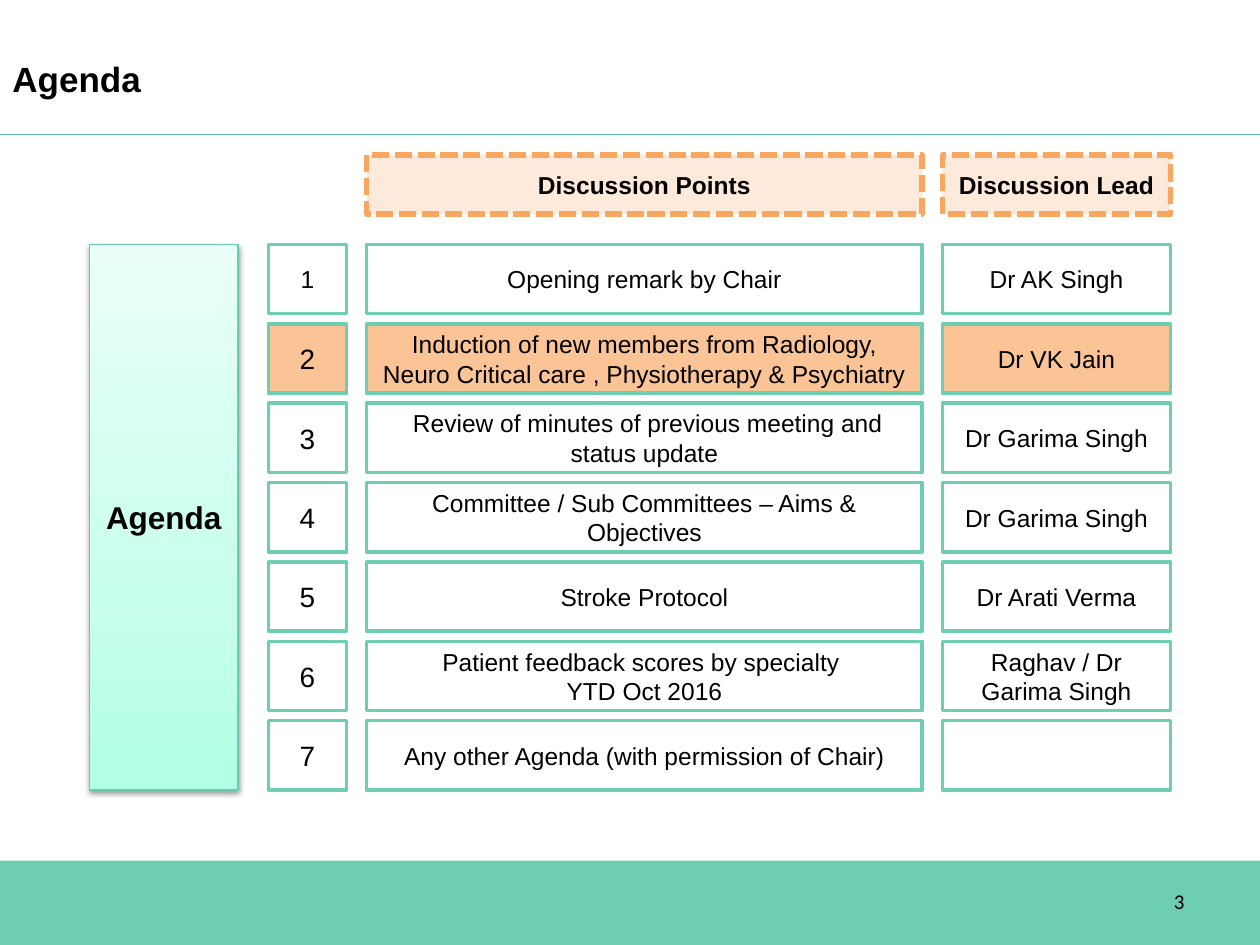
from lxml import etree
from pptx import Presentation
from pptx.dml.color import RGBColor
from pptx.enum.dml import MSO_LINE
from pptx.enum.shapes import MSO_CONNECTOR, MSO_SHAPE
from pptx.enum.text import MSO_ANCHOR, PP_ALIGN
from pptx.oxml import parse_xml
from pptx.oxml.ns import nsdecls, qn
from pptx.util import Inches, Pt

RECT, STRAIGHT = MSO_SHAPE.RECTANGLE, MSO_CONNECTOR.STRAIGHT
LEFT, CENTER, RIGHT = PP_ALIGN.LEFT, PP_ALIGN.CENTER, PP_ALIGN.RIGHT
MIDDLE = MSO_ANCHOR.MIDDLE
SHORT_DASH = MSO_LINE.SQUARE_DOT

BLACK = RGBColor(0x00, 0x00, 0x00)
WHITE = RGBColor(0xFF, 0xFF, 0xFF)
GREEN = RGBColor(0x6E, 0xCE, 0xB2)
PANEL_EDGE = RGBColor(0x69, 0xCC, 0xAF)
RULE_TEAL = RGBColor(0x5D, 0xBA, 0xB0)
ORANGE = RGBColor(0xF9, 0xA6, 0x61)
PALE_ORANGE = RGBColor(0xFD, 0xEA, 0xDA)
HIGHLIGHT = RGBColor(0xFB, 0xC4, 0x96)
PANEL_STOPS = [(0, "B1FFE4"), (35, "C8FFEB"), (100, "EAFFF7")]

CELL_INSETS = (0.08, 0.04, 0.08, 0.04)
NO_INSETS = (0, 0, 0, 0)

# Column positions as (left, width)
NUMBER_COLUMN = (2.13, 0.62)
POINT_COLUMN = (2.91, 4.41)
LEAD_COLUMN = (7.48, 1.81)
HEADER_TOP, HEADER_HEIGHT = 1.23, 0.47
FIRST_ROW_TOP, ROW_HEIGHT, ROW_PITCH = 1.94, 0.55, 0.63

HIGHLIGHTED_ITEM = 2
AGENDA = [
    ("Opening remark by Chair", "Dr AK Singh"),
    ("Induction of new members from Radiology, Neuro Critical care , "
     "Physiotherapy & Psychiatry", "Dr VK Jain"),
    (" Review of minutes of previous meeting and status update", "Dr Garima Singh"),
    ("Committee / Sub Committees – Aims & Objectives", "Dr Garima Singh"),
    ("Stroke Protocol", "Dr Arati Verma"),
    ("Patient feedback scores by specialty \nYTD Oct 2016", "Raghav / Dr Garima Singh"),
    ("Any other Agenda (with permission of Chair)", ""),
]


def write_text(frame, text, size=14, bold=False, font="Arial", align=CENTER, insets=None):
    """Fill a text frame, one paragraph per line of text."""
    frame.word_wrap = True
    frame.vertical_anchor = MIDDLE
    if insets:
        (frame.margin_left, frame.margin_top,
         frame.margin_right, frame.margin_bottom) = map(Inches, insets)
    for index, line in enumerate(text.split("\n")):
        paragraph = frame.add_paragraph() if index else frame.paragraphs[0]
        paragraph.alignment = align
        run = paragraph.add_run()
        run.text = line
        run.font.name = font
        run.font.size = Pt(size)
        run.font.bold = bold
        run.font.color.rgb = BLACK


class AgendaSlide:
    def __init__(self, slide):
        self.shapes = slide.shapes

    def box(self, left, top, width, height, fill=WHITE, line=GREEN, weight=2,
            dash=None, text="", **text_format):
        shape = self.shapes.add_shape(
            RECT, Inches(left), Inches(top), Inches(width), Inches(height))
        shape.shadow.inherit = False
        shape.fill.solid()
        shape.fill.fore_color.rgb = fill
        if line is None:
            shape.line.fill.background()
        else:
            shape.line.color.rgb = line
            shape.line.width = Pt(weight)
            if dash is not None:
                shape.line.dash_style = dash
        if text:
            write_text(shape.text_frame, text, **text_format)
        return shape

    def panel(self, left, top, width, height, text, **text_format):
        """Box with an upward gradient and a soft shadow below it."""
        shape = self.box(left, top, width, height, line=PANEL_EDGE, weight=0.75,
                         text=text, **text_format)
        shape.fill.gradient()
        shape.fill.gradient_angle = 90
        properties = shape.element.spPr
        stops = properties.find(".//" + qn("a:gsLst"))
        for stop in list(stops):
            stops.remove(stop)
        for position, color in PANEL_STOPS:
            stops.append(parse_xml(
                f'<a:gs {nsdecls("a")} pos="{position * 1000}">'
                f'<a:srgbClr val="{color}"/></a:gs>'))
        properties.find(qn("a:effectLst")).append(parse_xml(
            f'<a:outerShdw {nsdecls("a")} blurRad="{Pt(3.1)}" dist="{Pt(1.6)}" '
            'dir="5400000" rotWithShape="0"><a:srgbClr val="000000">'
            '<a:alpha val="38000"/></a:srgbClr></a:outerShdw>'))

    def rule(self, left, right, y, color, weight):
        line = self.shapes.add_connector(
            STRAIGHT, Inches(left), Inches(y), Inches(right), Inches(y))
        line.line.color.rgb = color
        line.line.width = Pt(weight)
        etree.SubElement(line.element.spPr, qn("a:effectLst"))

    def label(self, left, top, width, height, text, **text_format):
        label = self.shapes.add_textbox(
            Inches(left), Inches(top), Inches(width), Inches(height))
        write_text(label.text_frame, text, **text_format)

    def agenda_row(self, number, point, lead):
        top = FIRST_ROW_TOP + (number - 1) * ROW_PITCH
        fill = HIGHLIGHT if number == HIGHLIGHTED_ITEM else WHITE
        number_size = 14 if number == 1 else 16
        for (left, width), text, size, insets in (
            (POINT_COLUMN, point, 14, CELL_INSETS),
            (NUMBER_COLUMN, str(number), number_size, NO_INSETS),
            (LEAD_COLUMN, lead, 14, CELL_INSETS),
        ):
            self.box(left, top, width, ROW_HEIGHT, fill=fill, text=text,
                     size=size, insets=insets)


def main():
    deck = Presentation()
    deck.slide_width, deck.slide_height = Inches(10), Inches(7.5)
    page = AgendaSlide(deck.slides.add_slide(deck.slide_layouts[6]))

    page.box(0, 6.83, 10, 0.67, fill=GREEN, line=None)
    page.rule(0, 10, 1.07, RULE_TEAL, 0.75)
    page.label(7.17, 6.95, 2.33, 0.4, "3", size=12, font="Calibri", align=RIGHT)
    page.label(0, 0.16, 9, 0.92, "Agenda", size=20, bold=True, align=LEFT)

    panel_height = (len(AGENDA) - 1) * ROW_PITCH + ROW_HEIGHT
    page.panel(0.71, FIRST_ROW_TOP, 1.18, panel_height, "Agenda", size=18, bold=True)

    for (left, width), heading in ((POINT_COLUMN, "Discussion Points"),
                                   (LEAD_COLUMN, "Discussion Lead")):
        page.box(left, HEADER_TOP, width, HEADER_HEIGHT, fill=PALE_ORANGE, line=ORANGE,
                 weight=3.25, dash=SHORT_DASH, text=heading, bold=True,
                 insets=CELL_INSETS)

    for number, (point, lead) in enumerate(AGENDA, start=1):
        page.agenda_row(number, point, lead)

    deck.save("out.pptx")


if __name__ == "__main__":
    main()
